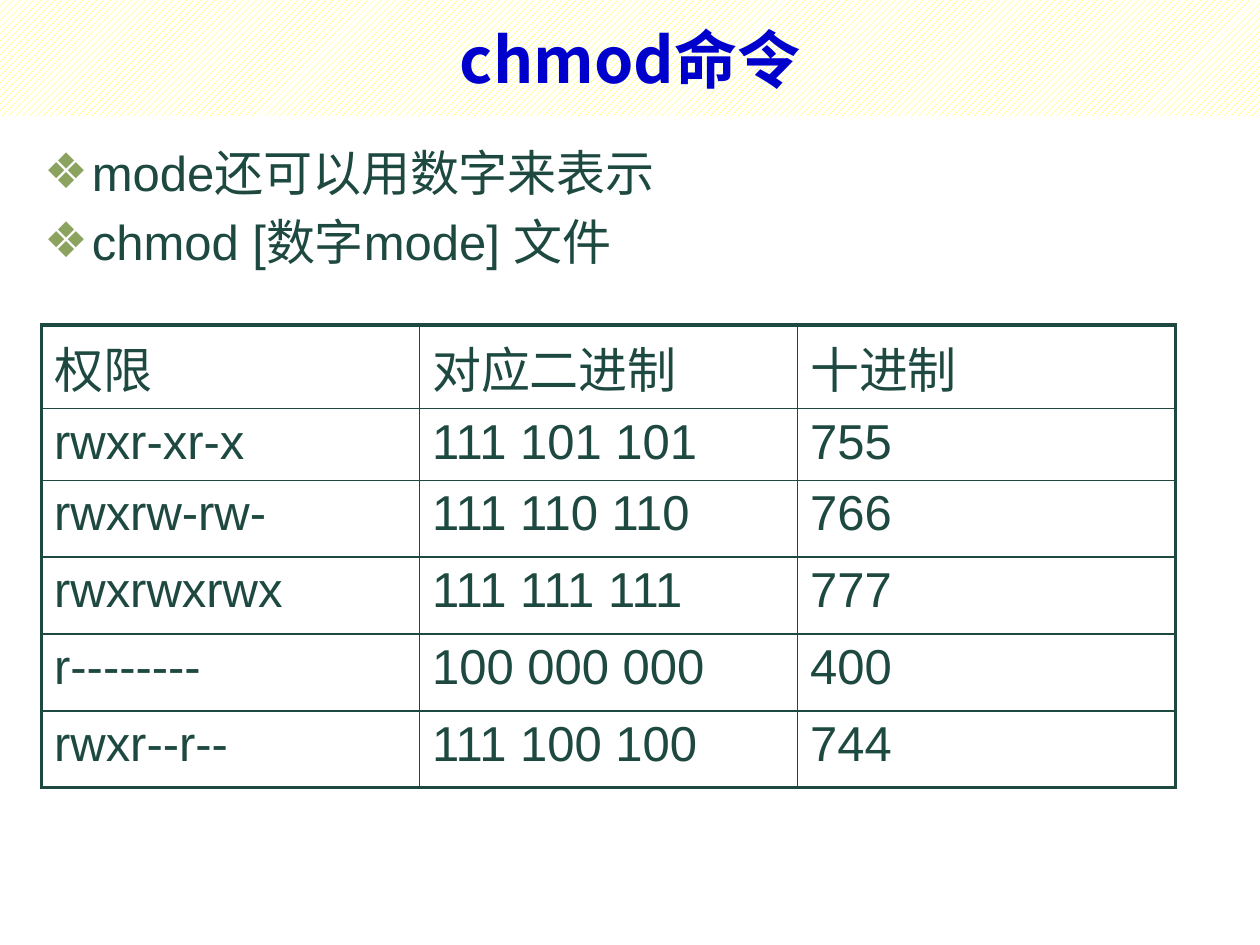
"""Build the slide on numeric modes of the chmod command."""
from dataclasses import dataclass

from lxml.etree import SubElement
from pptx import Presentation
from pptx.dml.color import RGBColor
from pptx.enum.dml import MSO_PATTERN
from pptx.enum.text import MSO_ANCHOR, MSO_AUTO_SIZE, PP_ALIGN
from pptx.oxml import parse_xml
from pptx.oxml.ns import nsdecls, qn
from pptx.util import Inches, Pt

BLUE = RGBColor(0x00, 0x00, 0xCC)
GREEN = RGBColor(0x1D, 0x49, 0x40)
OLIVE = RGBColor(0x8C, 0xA3, 0x5F)
YELLOW = RGBColor(0xFF, 0xFF, 0x00)
WHITE = RGBColor(0xFF, 0xFF, 0xFF)
CJK_FONT = "Noto Sans CJK SC"
TITLE_FORMAT = {"name": CJK_FONT, "size": Pt(36), "bold": True}
TEXT_FORMAT = {"name": "Arial", "size": Pt(28), "bold": False}
THIN, THICK = 1, 2.25


@dataclass
class Permission:
    """One table row: permission string, binary and decimal forms."""
    mode: str
    binary: str
    decimal: str
    height: float = 0.61


PERMISSIONS = [
    Permission("权限", "对应二进制", "十进制"),
    Permission("rwxr-xr-x", "111 101 101", "755", 0.57),
    Permission("rwxrw-rw-", "111 110 110", "766"),
    Permission("rwxrwxrwx", "111 111 111", "777"),
    Permission("r--------", "100 000 000", "400"),
    Permission("rwxr--r--", "111 100 100", "744"),
]
USAGE = ["mode还可以用数字来表示", "chmod [数字mode] 文件"]


def write(paragraph, text: str, formats: dict, color: RGBColor) -> None:
    """Add a formatted run to a paragraph."""
    run = paragraph.add_run()
    run.text = text
    run.font.color.rgb = color
    for key, value in formats.items():
        setattr(run.font, key, value)
    SubElement(run.font._element, qn("a:ea"), typeface=CJK_FONT)


def add_spacing(paragraph) -> None:
    """Put a fifth of a line before the paragraph."""
    properties = paragraph._p.get_or_add_pPr()
    spacing = SubElement(properties, qn("a:spcBef"))
    SubElement(spacing, qn("a:spcPct"), val="20000")


def add_bullet(paragraph) -> None:
    """Give the paragraph a hanging diamond bullet."""
    properties = paragraph._p.get_or_add_pPr()
    properties.set("marL", str(Inches(0.38)))
    properties.set("indent", str(Inches(-0.38)))
    color = SubElement(properties, qn("a:buClr"))
    SubElement(color, qn("a:srgbClr"), val=str(OLIVE))
    SubElement(properties, qn("a:buFont"), typeface="Arial")
    SubElement(properties, qn("a:buChar"), char="❖")


def add_borders(cell, widths: dict[str, float]) -> None:
    """Draw the cell's borders at the given widths in points."""
    properties = cell._tc.get_or_add_tcPr()
    for position, (side, width) in enumerate(widths.items()):
        properties.insert(position, parse_xml(
            f'<a:ln{side} {nsdecls("a")} w="{Pt(width)}"><a:solidFill>'
            f'<a:srgbClr val="{GREEN}"/></a:solidFill></a:ln{side}>'))


def place(holder, left: float, top: float, width: float, height: float) -> None:
    """Position a placeholder and keep its text size fixed."""
    holder.left, holder.top = Inches(left), Inches(top)
    holder.width, holder.height = Inches(width), Inches(height)
    holder.text_frame.auto_size = MSO_AUTO_SIZE.NONE


def add_title(slide) -> None:
    """Fill the hatched title band."""
    title = slide.shapes.title
    place(title, 0, 0, 10, 0.92)
    title.fill.patterned()
    title.fill.pattern = MSO_PATTERN.WIDE_UPWARD_DIAGONAL
    title.fill.fore_color.rgb = YELLOW
    title.fill.back_color.rgb = WHITE
    title.text_frame.vertical_anchor = MSO_ANCHOR.MIDDLE
    heading = title.text_frame.paragraphs[0]
    heading.alignment = PP_ALIGN.CENTER
    write(heading, "chmod命令", TITLE_FORMAT, BLUE)


def add_usage(slide) -> None:
    """Fill the bulleted list."""
    body = slide.placeholders[1]
    place(body, 0.25, 1.08, 9.17, 6.08)
    frame = body.text_frame
    for index, line in enumerate(USAGE):
        paragraph = frame.add_paragraph() if index else frame.paragraphs[0]
        add_spacing(paragraph)
        add_bullet(paragraph)
        write(paragraph, line, TEXT_FORMAT, GREEN)


def add_permissions(slide) -> None:
    """Add the permission table with a thick outer frame."""
    total = sum(permission.height for permission in PERMISSIONS)
    table = slide.shapes.add_table(len(PERMISSIONS), 3, Inches(0.33), Inches(2.58),
                                   Inches(9), Inches(total)).table
    table.first_row = table.horz_banding = False
    last = len(PERMISSIONS) - 1
    for row, permission in enumerate(PERMISSIONS):
        table.rows[row].height = Inches(permission.height)
        values = permission.mode, permission.binary, permission.decimal
        for column, value in enumerate(values):
            cell = table.cell(row, column)
            cell.fill.background()
            outer = {"L": column == 0, "R": column == 2,
                     "T": row == 0, "B": row == last}
            add_borders(cell, {side: THICK if edge else THIN
                               for side, edge in outer.items()})
            paragraph = cell.text_frame.paragraphs[0]
            add_spacing(paragraph)
            write(paragraph, value, TEXT_FORMAT, GREEN)


def main() -> None:
    """Build and save the presentation."""
    deck = Presentation()
    deck.slide_width, deck.slide_height = Inches(10), Inches(7.5)
    slide = deck.slides.add_slide(deck.slide_layouts[1])
    add_title(slide)
    add_usage(slide)
    add_permissions(slide)
    deck.save("out.pptx")


main()
